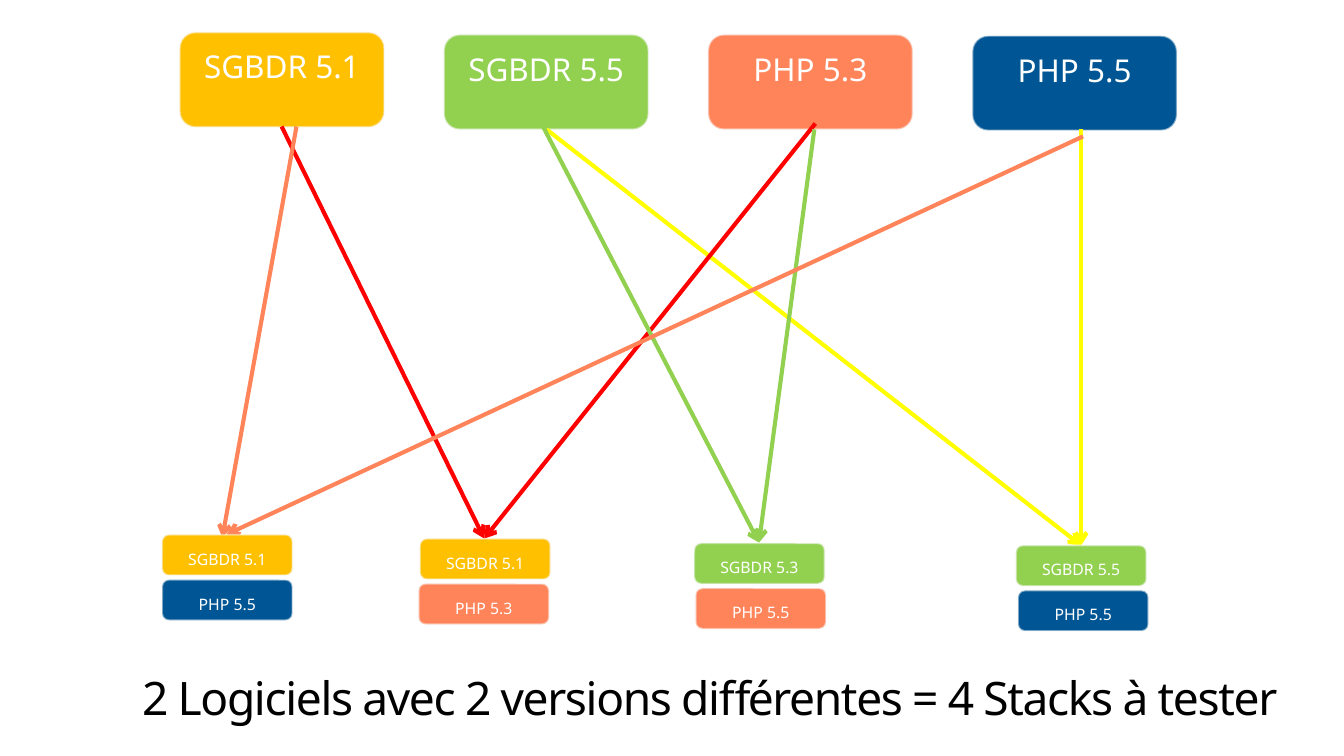
import pptx
import pptx.util
import pptx.dml.color
import pptx.enum.shapes
import pptx.enum.text
import pptx.oxml
import pptx.oxml.ns

Pt = pptx.util.Pt
RGBColor = pptx.dml.color.RGBColor
qn = pptx.oxml.ns.qn

AMBER = RGBColor(0xFF, 0xC0, 0x00)
GREEN = RGBColor(0x92, 0xD0, 0x50)
CORAL = RGBColor(0xFF, 0x84, 0x5A)
BLUE = RGBColor(0x00, 0x56, 0x94)
RED = RGBColor(0xFF, 0x00, 0x00)
YELLOW = RGBColor(0xFF, 0xFF, 0x00)
WHITE = RGBColor(0xFF, 0xFF, 0xFF)
BLACK = RGBColor(0x00, 0x00, 0x00)
OUTLINE = RGBColor(0xF9, 0xF9, 0xF9)
FONT = "Noto Sans"

# Content: label, colour, top
VERSIONS = [
    ("SGBDR 5.1", AMBER, 23.6),
    ("SGBDR 5.5", GREEN, 25.3),
    ("PHP 5.3", CORAL, 25.3),
    ("PHP 5.5", BLUE, 26.1),
]
# Stacks: position of the upper box, shift of the lower box, (label, colour) pairs
STACKS = [
    (118.1, 389.6, 0, [("SGBDR 5.1", AMBER), ("PHP 5.5", BLUE)]),
    (306, 392.5, -1, [("SGBDR 5.1", AMBER), ("PHP 5.3", CORAL)]),
    (505.8, 395.8, 1, [("SGBDR 5.3", GREEN), ("PHP 5.5", CORAL)]),
    (740.2, 397.4, 1.5, [("SGBDR 5.5", GREEN), ("PHP 5.5", BLUE)]),
]
# Arrows: colour, end point, start points
ARROWS = [
    (YELLOW, (787.7, 397.4), [(398.2, 94.3), (787.7, 94.3)]),
    (RED, (352.8, 392.4), [(594, 90), (205.2, 92.2)]),
    (GREEN, (553, 395.3), [(396, 92.9), (593.3, 94.3)]),
    (CORAL, (162, 391.7), [(216, 92.2)]),
    (CORAL, (164.9, 389.5), [(789.1, 99.4)]),
]
CAPTION = "2 Logiciels avec 2 versions différentes = 4 Stacks à tester"

# Layout
VERSION_LEFT, VERSION_STEP = 131, 192.5
VERSION_SIZE = (149, 69)
STACK_SIZE, STACK_STEP = (95, 29.5), 32.8

deck = pptx.Presentation()
deck.slide_width, deck.slide_height = Pt(979.2), Pt(550.8)
page = deck.slides.add_slide(deck.slide_layouts[6])


def style_text(para, text, size, color):
    para.text = text
    para.line_spacing = 0.9
    para.font.name = FONT
    para.font.size = Pt(size)
    para.font.color.rgb = color


def add_box(left, top, size, label, color, text_size):
    box = page.shapes.add_shape(
        pptx.enum.shapes.MSO_SHAPE.ROUNDED_RECTANGLE,
        Pt(left), Pt(top), Pt(size[0]), Pt(size[1]))
    box.shadow.inherit = False
    box.fill.solid()
    box.fill.fore_color.rgb = color
    box.line.color.rgb = OUTLINE
    box.line.width = Pt(1.35)
    outline = box.line._ln.find(".//" + qn("a:srgbClr"))
    pptx.oxml.ns  # namespace helpers are used for the half-transparent outline
    alpha = outline.makeelement(qn("a:alpha"), {"val": "50000"})
    outline.append(alpha)
    frame = box.text_frame
    frame.word_wrap = True
    frame.vertical_anchor = pptx.enum.text.MSO_ANCHOR.TOP
    frame.margin_left = frame.margin_right = Pt(13.5)
    frame.margin_top = frame.margin_bottom = Pt(10.8)
    para = frame.paragraphs[0]
    style_text(para, label, text_size, WHITE)
    para.alignment = pptx.enum.text.PP_ALIGN.CENTER


def add_arrow(start, end, color):
    arrow = page.shapes.add_connector(
        pptx.enum.shapes.MSO_CONNECTOR.STRAIGHT,
        *(Pt(value) for value in start + end))
    arrow.line.color.rgb = color
    arrow.line.width = Pt(3)
    line = arrow.line._ln
    line.append(line.makeelement(qn("a:tailEnd"), {"type": "arrow"}))
    props = arrow._element.spPr
    props.append(props.makeelement(qn("a:effectLst"), {}))


# Software versions
for column, (label, color, top) in enumerate(VERSIONS):
    add_box(VERSION_LEFT + column * VERSION_STEP, top, VERSION_SIZE, label, color, 22.9)

# Arrows from versions to stacks
for color, end, starts in ARROWS:
    for start in starts:
        add_arrow(start, end, color)

# Stacks to test
for left, top, shift, layers in STACKS:
    for row, (label, color) in enumerate(layers):
        add_box(left + row * shift, top + row * STACK_STEP, STACK_SIZE, label, color, 11.5)

# Caption
caption = page.shapes.add_textbox(Pt(96.5), Pt(488.9), Pt(851.8), Pt(47.5))
caption.text_frame.word_wrap = True
caption_para = caption.text_frame.paragraphs[0]
style_text(caption_para, CAPTION, 33.6, BLACK)
caption_para.runs[0]._r.get_or_add_rPr().set("spc", "-100")

deck.save("out.pptx")
